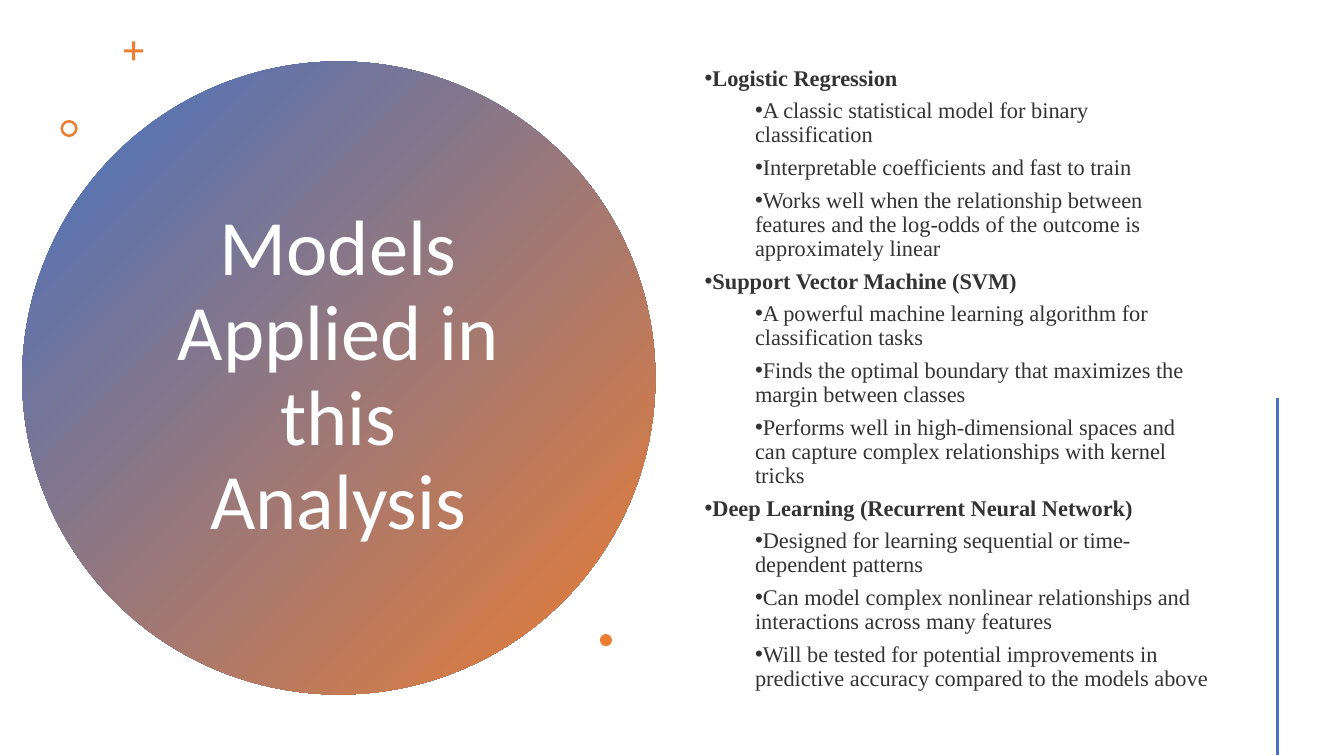
from lxml.etree import SubElement
from pptx import Presentation
from pptx.dml.color import RGBColor
from pptx.enum.shapes import MSO_CONNECTOR, MSO_SHAPE as Preset
from pptx.enum.text import MSO_ANCHOR, PP_ALIGN
from pptx.oxml.ns import qn
from pptx.util import Inches, Pt

BLUE = RGBColor(0x44, 0x72, 0xC4)
ORANGE = RGBColor(0xED, 0x7D, 0x31)
WHITE = RGBColor(0xFF, 0xFF, 0xFF)
CHARCOAL = RGBColor(0x33, 0x33, 0x33)

HEADING = "Models Applied in this Analysis"
MODELS = {
    "Logistic Regression": [
        "A classic statistical model for binary classification",
        "Interpretable coefficients and fast to train",
        "Works well when the relationship between features and the log-odds "
        "of the outcome is approximately linear",
    ],
    "Support Vector Machine (SVM)": [
        "A powerful machine learning algorithm for classification tasks",
        "Finds the optimal boundary that maximizes the margin between classes",
        "Performs well in high-dimensional spaces and can capture complex "
        "relationships with kernel tricks",
    ],
    "Deep Learning (Recurrent Neural Network)": [
        "Designed for learning sequential or time-dependent patterns",
        "Can model complex nonlinear relationships and interactions across many features",
        "Will be tested for potential improvements in predictive accuracy "
        "compared to the models above",
    ],
}
ACCENTS = [
    (Preset.CROSS, 1.23, 0.41, 0.19, 0.42),
    (Preset.DONUT, 0.6, 1.19, 0.17, 0.15),
    (Preset.OVAL, 5.95, 6.29, 0.12, None),
]


def write(paragraph, text, *, font, size, color, bold=False, align=PP_ALIGN.LEFT,
          after=0, bullet=None, indent=0):
    """Fill a paragraph with formatted text and an optional bullet."""
    if bullet:
        properties = paragraph._p.get_or_add_pPr()
        properties.set("marL", str(Inches(indent)))
        properties.set("indent", "0")
        SubElement(properties, qn("a:buFont"), typeface="Arial")
        SubElement(properties, qn("a:buChar"), char=bullet)
    paragraph.alignment = align
    paragraph.line_spacing = 0.9
    paragraph.space_before = Pt(0)
    paragraph.space_after = Pt(after)
    run = paragraph.add_run()
    run.text = text
    run.font.name = font
    run.font.size = Pt(size)
    run.font.bold = bold
    run.font.color.rgb = color


def add_round(slide, preset, left, top, side):
    """Add a borderless preset shape of equal width and height."""
    shape = slide.shapes.add_shape(preset, Inches(left), Inches(top), Inches(side), Inches(side))
    shape.shadow.inherit = False
    shape.line.fill.background()
    return shape


def add_title(slide):
    """Place the heading over the gradient disc."""
    disc = add_round(slide, Preset.OVAL, 0.22, 0.61, 6.28)
    disc.fill.gradient()
    disc.fill.gradient_angle = 315
    for stop, color, position in zip(disc.fill.gradient_stops, (BLUE, ORANGE), (0, 1)):
        stop.color.rgb = color
        stop.position = position
    slide.shapes._spTree.insert(2, disc._element)

    title = slide.shapes.title
    title.left, title.top = Inches(1.36), Inches(1.41)
    title.width, title.height = Inches(3.99), Inches(4.67)
    title.text_frame.word_wrap = True
    title.text_frame.vertical_anchor = MSO_ANCHOR.MIDDLE
    write(title.text_frame.paragraphs[0], HEADING, font="Calibri", size=56,
          color=WHITE, align=PP_ALIGN.CENTER)


def add_models(slide):
    """List each model with its indented points."""
    frame = slide.shapes.add_textbox(Inches(6.89), Inches(0.57), Inches(5.22), Inches(6.38)).text_frame
    frame.word_wrap = True
    frame.vertical_anchor = MSO_ANCHOR.MIDDLE
    entries = [(text, text == model) for model, points in MODELS.items() for text in (model, *points)]
    for index, (text, is_model) in enumerate(entries):
        paragraph = frame.add_paragraph() if index else frame.paragraphs[0]
        paragraph.level = 0 if is_model else 1
        write(paragraph, text, font="Times New Roman", size=16, color=CHARCOAL,
              bold=is_model, after=6, bullet="•", indent=0 if is_model else 0.5)


def add_decoration(slide):
    """Add the small orange accents and the blue side rule."""
    for preset, left, top, side, adjustment in ACCENTS:
        accent = add_round(slide, preset, left, top, side)
        accent.fill.solid()
        accent.fill.fore_color.rgb = ORANGE
        if adjustment:
            accent.adjustments[0] = adjustment
    rule = slide.shapes.add_connector(MSO_CONNECTOR.STRAIGHT, Inches(12.67), Inches(3.95),
                                      Inches(12.67), Inches(7.49))
    rule.line.color.rgb = BLUE
    rule.line.width = Pt(2)
    SubElement(rule._element.spPr, qn("a:effectLst"))


def main():
    """Build and save the slide."""
    deck = Presentation()
    deck.slide_width, deck.slide_height = Inches(13.33), Inches(7.5)
    slide = deck.slides.add_slide(deck.slide_layouts[5])
    add_title(slide)
    add_models(slide)
    add_decoration(slide)
    deck.save("out.pptx")


if __name__ == "__main__":
    main()
